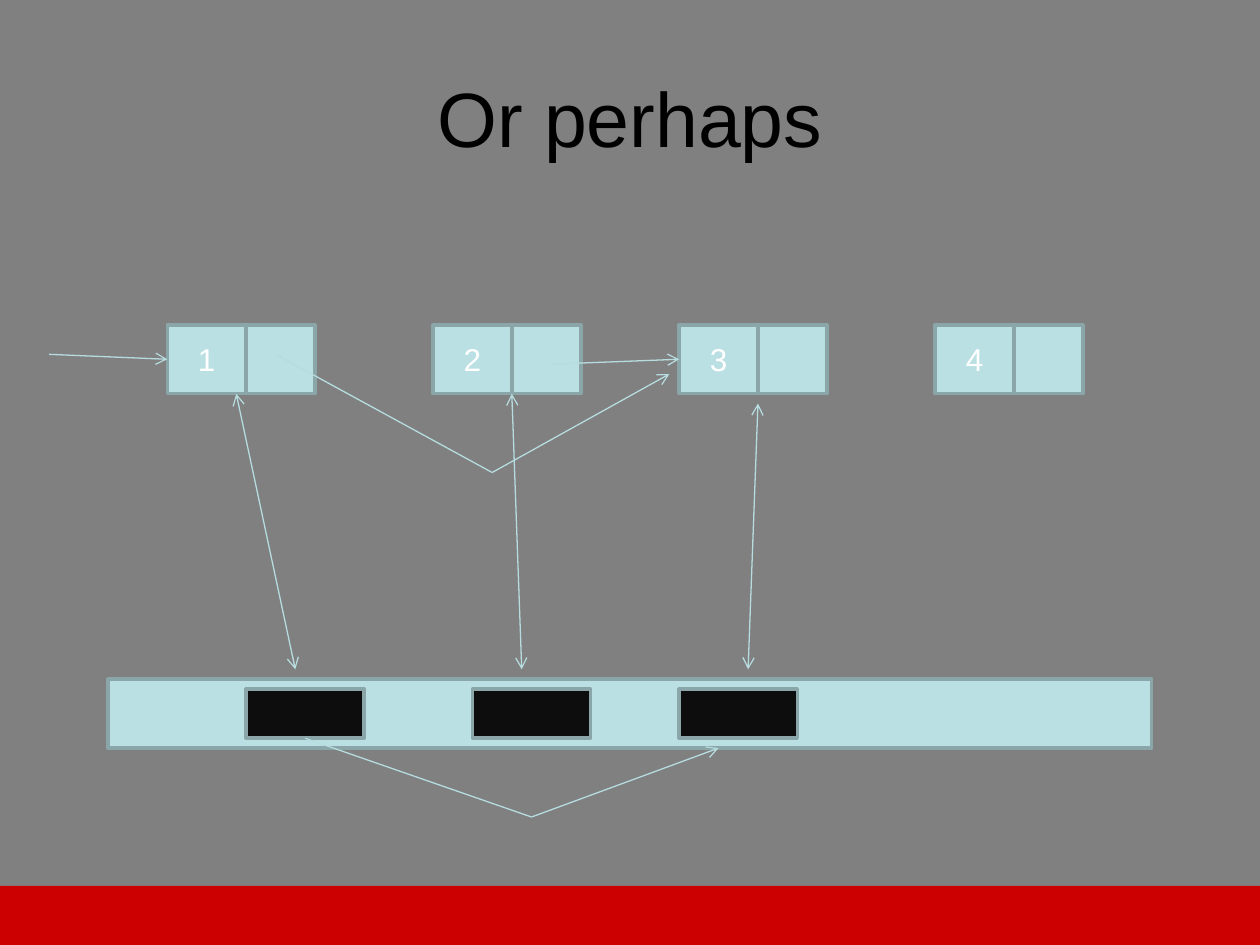
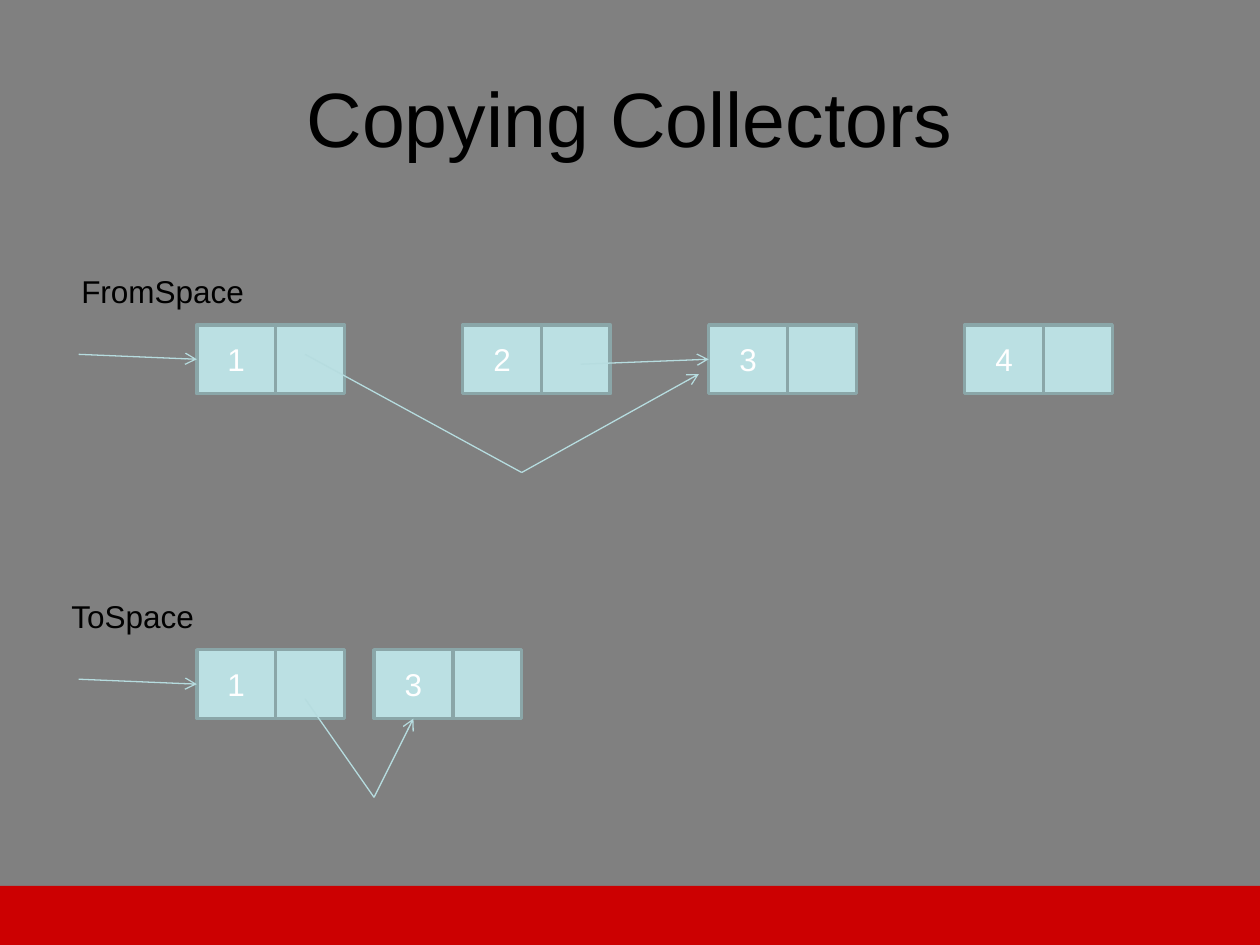
from dataclasses import dataclass
from itertools import pairwise

from lxml.etree import SubElement
from pptx import Presentation
from pptx.dml.color import RGBColor
from pptx.enum.shapes import MSO_CONNECTOR, MSO_SHAPE
from pptx.enum.text import MSO_ANCHOR, MSO_AUTO_SIZE, PP_ALIGN
from pptx.oxml.ns import qn
from pptx.util import Pt


@dataclass(frozen=True)
class Theme:
    """Colours, font and sizes shared by all slides."""
    background: str = "808080"
    band: str = "CC0001"
    node: str = "BBE0E3"
    border: str = "8AA6A8"
    arrow: str = "B6DCDF"
    block: str = "0D0D0D"
    dark: str = "000000"
    light: str = "FFFFFF"
    font: str = "Arial"
    title_size: int = 44
    text_size: int = 18
    border_width: float = 2
    arrow_width: float = 0.75


GRID = 45 / 8  # drawing grid in points: the slide is 128 by 96 steps
LABEL_W, LINK_W, NODE_H = 8, 7, 7
NODE_OFFSETS = (0, 27, 52, 78)


def g(steps):
    """Turn grid steps into a length."""
    return Pt(steps * GRID)


def rgb(colour):
    """Turn a hex string into a colour."""
    return RGBColor.from_string(colour)


class Deck:
    """Holds the style and the current slide, and draws on it."""

    def __init__(self, theme):
        """Set up the presentation, its background and title layout."""
        self.theme = theme
        self.prs = Presentation()
        self.prs.slide_width, self.prs.slide_height = g(128), g(96)
        fill = self.prs.slide_master.background.fill
        fill.solid()
        fill.fore_color.rgb = rgb(theme.background)
        self.layout = self.prs.slide_layouts[5]
        self.s = None

    def new_slide(self, title):
        """Start a slide with a title."""
        self.s = self.prs.slides.add_slide(self.layout)
        sp = self.s.shapes.title
        sp.left, sp.top, sp.width, sp.height = Pt(36), Pt(21.6), Pt(648), Pt(90)
        tf = sp.text_frame
        tf.auto_size = MSO_AUTO_SIZE.NONE
        tf.vertical_anchor = MSO_ANCHOR.MIDDLE
        self.set_text(tf, title, self.theme.title_size, self.theme.dark, PP_ALIGN.CENTER)

    def set_text(self, tf, text, size, colour, align):
        """Set and format the text of a frame."""
        tf.text = text
        for p in tf.paragraphs:
            p.alignment = align
            for r in p.runs:
                r.font.name = self.theme.font
                r.font.size = Pt(size)
                r.font.color.rgb = rgb(colour)

    def box(self, shapes, x, y, w, h, fill, text="", border=True):
        """Draw a rectangle, with centred text if any."""
        sp = shapes.add_shape(MSO_SHAPE.RECTANGLE, g(x), g(y), g(w), g(h))
        sp.shadow.inherit = False
        sp.fill.solid()
        sp.fill.fore_color.rgb = rgb(fill)
        if border:
            sp.line.color.rgb = rgb(self.theme.border)
            sp.line.width = Pt(self.theme.border_width)
        else:
            sp.line.fill.background()
        if text:
            tf = sp.text_frame
            tf.vertical_anchor = MSO_ANCHOR.MIDDLE
            self.set_text(tf, text, self.theme.text_size, self.theme.light, PP_ALIGN.CENTER)

    def label(self, text, x, y, width):
        """Add an unwrapped label."""
        tf = self.s.shapes.add_textbox(g(x), g(y), g(width), Pt(29)).text_frame
        tf.word_wrap = False
        tf.auto_size = MSO_AUTO_SIZE.SHAPE_TO_FIT_TEXT
        self.set_text(tf, text, self.theme.text_size, self.theme.dark, PP_ALIGN.LEFT)

    def arrow(self, shapes, *points, both=False):
        """Draw straight segments through points, with an arrowhead at the end."""
        for start, end in pairwise(points):
            sp = shapes.add_connector(MSO_CONNECTOR.STRAIGHT, *map(g, start + end))
            sp.line.color.rgb = rgb(self.theme.arrow)
            sp.line.width = Pt(self.theme.arrow_width)
            spPr = sp._element.spPr
            ln = spPr.find(qn("a:ln"))
            if both:
                SubElement(ln, qn("a:headEnd"), type="arrow")
            if end == points[-1]:
                SubElement(ln, qn("a:tailEnd"), type="arrow")
            SubElement(spPr, qn("a:effectLst"))

    def node(self, shapes, x, y, text):
        """Draw a list node: a numbered cell and a link cell."""
        group = shapes.add_group_shape().shapes
        self.box(group, x, y, LABEL_W, NODE_H, self.theme.node, text)
        self.box(group, x + LABEL_W, y, LINK_W, NODE_H, self.theme.node)

    def root(self, shapes, x, y):
        """Draw the arrow that enters the node at x, y."""
        self.arrow(shapes, (x - 12, y + 3), (x, y + 3.5))

    def heap_list(self, shapes, x, y=33):
        """Draw four nodes where 1 and 2 both link to 3."""
        for number, offset in enumerate(NODE_OFFSETS, 1):
            self.node(shapes, x + offset, y, str(number))
        self.root(shapes, x, y)
        self.arrow(shapes, (x + 39, y + 4), (x + 52, y + 3.5))
        self.arrow(shapes, (x + 11, y + 3), (x + 33, y + 15), (x + 51, y + 5))

    def band(self):
        """Draw the band along the bottom edge."""
        self.box(self.s.shapes, 0, 90, 128, 6, self.theme.band, border=False)


def mapped_memory(deck):
    """Slide with list nodes mapped to blocks of memory."""
    deck.new_slide("Or perhaps")
    shapes = deck.s.shapes
    deck.heap_list(shapes.add_group_shape().shapes, 17)
    deck.box(shapes, 11, 69, 106, 7, deck.theme.node)
    for x in (25, 48, 69):
        deck.box(shapes, x, 70, 12, 5, deck.theme.block)
    for node, block in (((24, 40), (30, 68)), ((52, 40), (53, 68)), ((77, 41), (76, 68))):
        deck.arrow(shapes, node, block, both=True)
    deck.arrow(shapes, (31, 75), (54, 83), (73, 76))
    deck.band()


def copying_collectors(deck):
    """Slide with the live nodes copied to a second space."""
    deck.new_slide("Copying Collectors")
    shapes = deck.s.shapes
    deck.heap_list(shapes, 20)
    for x, text in ((20, "1"), (38, "3")):
        deck.node(shapes, x, 66, text)
    deck.root(shapes, 20, 66)
    deck.arrow(shapes, (31, 71), (38, 81), (42, 73))
    deck.band()
    deck.label("FromSpace", 7, 27, 19.3)
    deck.label("ToSpace", 6, 60, 15.1)


deck = Deck(Theme())
mapped_memory(deck)
copying_collectors(deck)
deck.prs.save("out.pptx")
